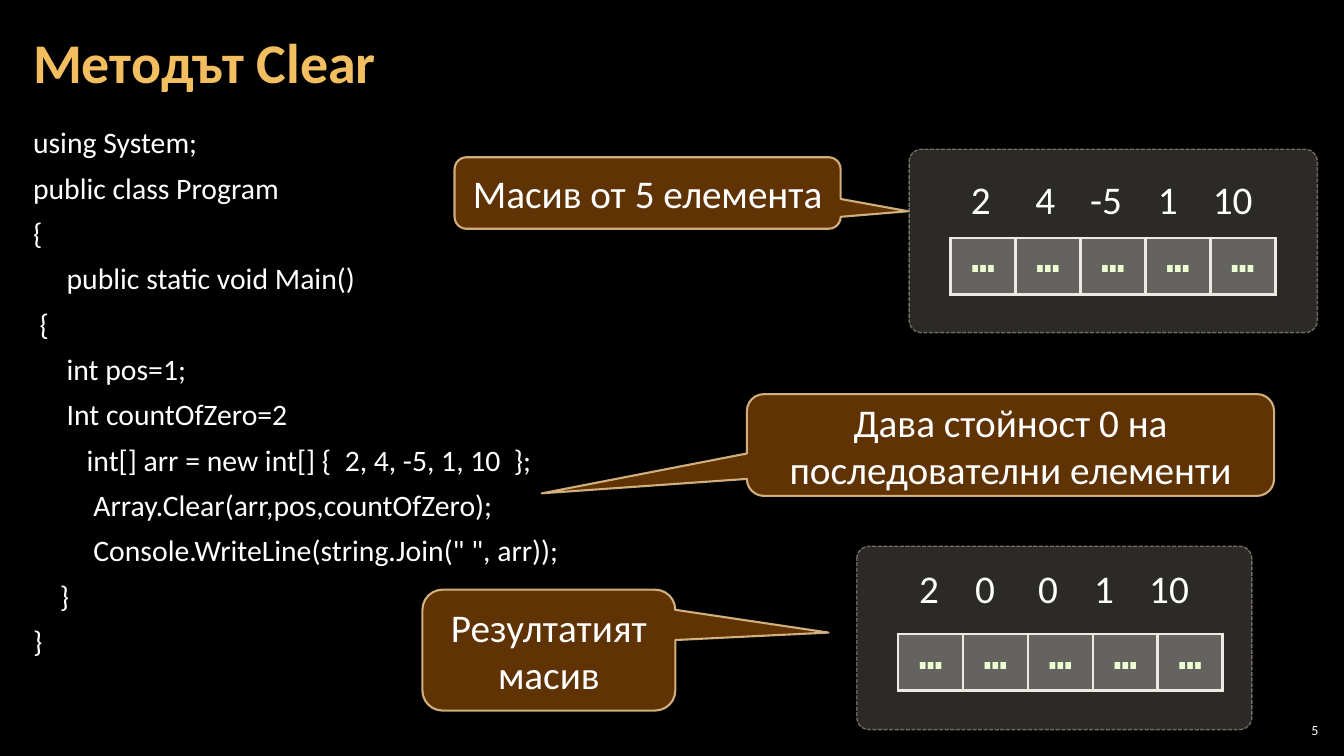
"""Build the slide about the Clear method of arrays."""
import pptx
import pptx.dml.color
import pptx.enum.dml
import pptx.enum.shapes
import pptx.enum.text
import pptx.oxml
import pptx.oxml.ns
import pptx.util

Pt = pptx.util.Pt
Align = pptx.enum.text.PP_ALIGN
Anchor = pptx.enum.text.MSO_ANCHOR
Shape = pptx.enum.shapes.MSO_SHAPE

COLORS = {
    "background": "000000",
    "text": "FFFFFF",
    "title": "F3BE60",
    "callout": "663606",
    "callout_line": "F8D49E",
    "panel": "D9D5C7",
    "panel_line": "C7BFAC",
    "cell": "ECEAE3",
    "cell_text": "EBFFD2",
}
CELL_WIDTH = 46.4
CELL_HEIGHT = 40.3
CELL_COUNT = 5
CODE = """using System;
public class Program
{
     public static void Main()
 {
     int pos=1;
     Int countOfZero=2
        int[] arr = new int[] {  2, 4, -5, 1, 10  };
         Array.Clear(arr,pos,countOfZero);
         Console.WriteLine(string.Join(" ", arr));
    }
}"""


def color(name):
    return pptx.dml.color.RGBColor.from_string(COLORS[name])


def points(*lengths):
    return [Pt(length) for length in lengths]


def xml(tag, content="", attributes=""):
    namespace = pptx.oxml.ns.nsdecls("a")
    return pptx.oxml.parse_xml(f"<a:{tag} {namespace} {attributes}>{content}</a:{tag}>")


def paint(fill, name, opacity=100):
    fill.solid()
    fill.fore_color.rgb = color(name)
    if opacity < 100:
        solid = fill._xPr.find(pptx.oxml.ns.qn("a:solidFill"))
        solid[0].append(xml("alpha", attributes=f'val="{opacity * 1000}"'))


def set_font(para, size, name="text", bold=False, family="Calibri"):
    para.font.name = family
    para.font.size = Pt(size)
    para.font.bold = bold
    para.font.color.rgb = color(name)


def set_frame(frame, horizontal=7.2, vertical=3.6, anchor=Anchor.TOP):
    frame.word_wrap = True
    frame.auto_size = pptx.enum.text.MSO_AUTO_SIZE.NONE
    frame.vertical_anchor = anchor
    frame.margin_left = frame.margin_right = Pt(horizontal)
    frame.margin_top = frame.margin_bottom = Pt(vertical)


def place(box, left, top, width, height):
    box.left, box.top, box.width, box.height = points(left, top, width, height)


def add_title(page, text):
    box = page.shapes.title
    place(box, 15, 2.9, 929.5, 87.1)
    set_frame(box.text_frame, 8.6, 2.9, Anchor.MIDDLE)
    box.text_frame.text = text
    para = box.text_frame.paragraphs[0]
    para.alignment = Align.LEFT
    para.line_spacing = 0.9
    set_font(para, 40, "title", True)


def add_code(page, code):
    box = page.placeholders[1]
    place(box, 15, 90.7, 929.5, 438.5)
    set_frame(box.text_frame, 8.6, 2.9)
    box.text_frame.text = code
    for index, para in enumerate(box.text_frame.paragraphs):
        para.alignment = Align.LEFT
        para.line_spacing = 0.8
        para.space_before = Pt(6 if index else 0)
        para.space_after = Pt(6)
        properties = para._p.get_or_add_pPr()
        properties.set("marL", "0")
        properties.set("indent", "0")
        properties.append(xml("buNone"))
        set_font(para, 21.2)


def add_box(page, kind, area, adjustments, fill, opacity, line_width, line_opacity):
    box = page.shapes.add_shape(kind, *points(*area))
    box.shadow.inherit = False
    for index, value in enumerate(adjustments):
        box.adjustments[index] = value
    paint(box.fill, fill, opacity)
    paint(box.line.fill, f"{fill}_line", line_opacity)
    box.line.width = Pt(line_width)
    return box


def add_panel(page, *area):
    panel = add_box(page, Shape.ROUNDED_RECTANGLE, area, [0.067], "panel", 20, 1, 50)
    panel.line.dash_style = pptx.enum.dml.MSO_LINE.SQUARE_DOT


def add_callout(page, text, area, tip):
    callout = add_box(page, Shape.ROUNDED_RECTANGULAR_CALLOUT, area, [*tip, 0.167],
                      "callout", 95, 1.5, 80)
    set_frame(callout.text_frame, anchor=Anchor.MIDDLE)
    callout.text_frame.text = text
    para = callout.text_frame.paragraphs[0]
    para.alignment = Align.CENTER
    set_font(para, 28)


def add_values(page, left, top, values, centers):
    box = page.shapes.add_textbox(*points(left, top, 232.6, 41))
    set_frame(box.text_frame)
    para = box.text_frame.paragraphs[0]
    para.add_run().text = "".join(f"\t{value}" for value in values)
    para.alignment = Align.LEFT
    stops = "".join(f'<a:tab pos="{Pt(center)}" algn="ctr"/>' for center in centers)
    para._p.get_or_add_pPr().append(xml("tabLst", stops))
    set_font(para, 28)


def add_cells(page, left, top):
    area = points(left, top, CELL_WIDTH * CELL_COUNT, CELL_HEIGHT)
    table = page.shapes.add_table(1, CELL_COUNT, *area).table
    table.first_row = table.horz_banding = False
    border = f'<a:solidFill><a:srgbClr val="{COLORS["cell"]}"/></a:solidFill>'
    for column in table.columns:
        column.width = Pt(CELL_WIDTH)
    for cell in table.iter_cells():
        cell.text = "…"
        cell.vertical_anchor = Anchor.MIDDLE
        paint(cell.fill, "cell", 30)
        for index, side in enumerate(("lnL", "lnR", "lnT", "lnB")):
            line = xml(side, border, f'w="{Pt(2.25)}"')
            cell._tc.get_or_add_tcPr().insert(index, line)
        para = cell.text_frame.paragraphs[0]
        para.alignment = Align.CENTER
        para.line_spacing = 0.5
        set_font(para, 28, "cell_text", True, "DejaVu Sans Mono")


def add_page_number(page, number):
    box = page.shapes.add_textbox(*points(910.8, 514.1, 33.8, 15.1))
    set_frame(box.text_frame, 2.9, 2.9, Anchor.MIDDLE)
    box.text_frame.text = number
    para = box.text_frame.paragraphs[0]
    para.alignment = Align.RIGHT
    set_font(para, 10)


def main():
    deck = pptx.Presentation()
    deck.slide_width, deck.slide_height = points(960, 540)
    page = deck.slides.add_slide(deck.slide_layouts[1])
    paint(page.background.fill, "background")
    add_code(page, CODE)
    add_title(page, "Методът Clear")
    add_panel(page, 649.4, 106.6, 291.6, 131)
    add_values(page, 677.5, 121.7, (2, 4, -5, 1, 10), (16, 62, 105.5, 149.5, 196))
    add_cells(page, 679, 169.9)
    add_panel(page, 612, 390.2, 282.2, 131)
    add_values(page, 636.5, 399.6, (2, 0, 0, 1, 10), (20, 60, 105, 145, 191.5))
    add_cells(page, 641.5, 452.9)
    add_callout(page, "Масив от 5 елемента", (324.7, 112.3, 275.8, 51.1), (0.675, 0.255))
    add_callout(page, "Дава стойност 0 на последователни елементи",
                (533.5, 281.5, 376.6, 72.7), (-0.889, 0.475))
    add_callout(page, "Резултатият масив", (301.7, 421.2, 180.7, 86.4), (1.106, -0.145))
    add_page_number(page, "5")
    deck.save("out.pptx")


if __name__ == "__main__":
    main()
